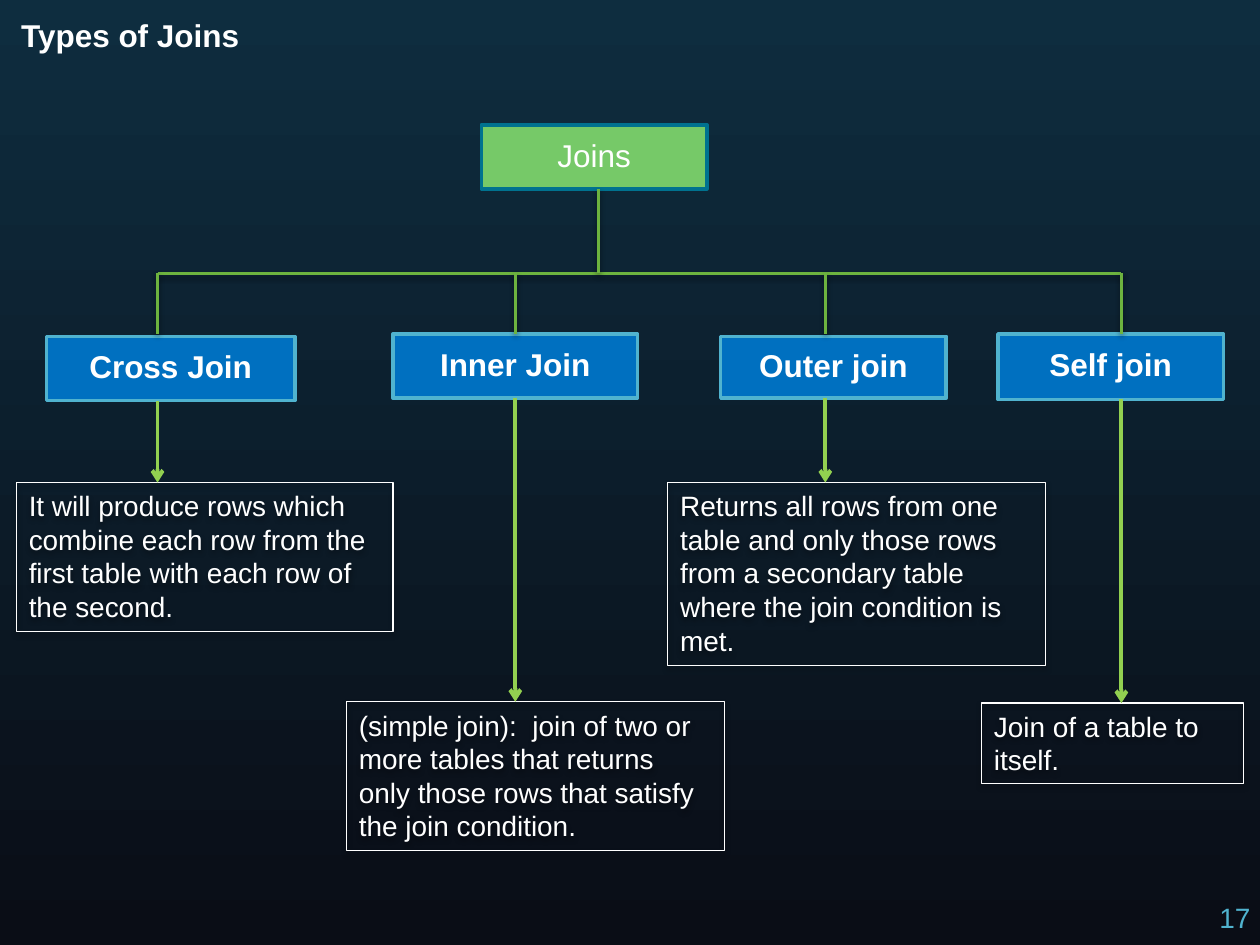
from pptx import Presentation
from pptx.dml.color import RGBColor
from pptx.enum.shapes import MSO_CONNECTOR, MSO_SHAPE
from pptx.enum.text import MSO_ANCHOR as ANCHOR, MSO_AUTO_SIZE as AUTO, PP_ALIGN as ALIGN
from pptx.oxml import parse_xml
from pptx.oxml.ns import nsdecls
from pptx.util import Inches, Pt

WHITE = RGBColor(0xFF, 0xFF, 0xFF)
BG_TOP = RGBColor(0x0E, 0x2D, 0x3F)
BG_BOTTOM = RGBColor(0x0A, 0x0D, 0x16)
ROOT_FILL = RGBColor(0x76, 0xC9, 0x68)
ROOT_LINE = RGBColor(0x00, 0x72, 0x8F)
BLUE = RGBColor(0x00, 0x70, 0xC0)
CYAN = RGBColor(0x50, 0xB3, 0xCF)
BRANCH = RGBColor(0x6D, 0xB3, 0x3F)
ARROW = RGBColor(0x92, 0xD0, 0x50)

SPINE_Y = 2.17
DROP_END = 2.65
ROOT_X = 4.75

JOINS = [
    ("Cross Join", 1.25, (0.37, 2.67, 1.97, 0.51), (0.13, 3.83, 2.99, 1.18),
     "It will produce rows which combine each row from the first table "
     "with each row of the second."),
    ("Inner Join", 4.09, (3.12, 2.65, 1.94, 0.51), (2.75, 5.57, 3, 1.18),
     "(simple join):  join of two or more tables that returns only those "
     "rows that satisfy the join condition."),
    ("Outer join", 6.55, (5.72, 2.67, 1.79, 0.49), (5.3, 3.83, 3, 1.45),
     "Returns all rows from one table and only those rows from a secondary "
     "table where the join condition is met."),
    ("Self join", 8.9, (7.92, 2.65, 1.79, 0.52), (7.79, 5.58, 2.08, 0.64),
     "Join of a table to itself."),
]


def set_effects(s, shadow):
    outer = ('<a:outerShdw blurRad="40000" dist="20000" dir="5400000" rotWithShape="0">'
             '<a:srgbClr val="000000"><a:alpha val="38000"/></a:srgbClr></a:outerShdw>')
    s._element.spPr.append(parse_xml(
        f'<a:effectLst {nsdecls("a")}>{outer if shadow else ""}</a:effectLst>'))


def write(s, text, size=18, color=WHITE, bold=False, align=ALIGN.LEFT,
          anchor=ANCHOR.TOP, inset=None, spacing=None, grow=False):
    tf = s.text_frame
    tf.word_wrap = True
    tf.vertical_anchor = anchor
    tf.auto_size = AUTO.SHAPE_TO_FIT_TEXT if grow else AUTO.NONE
    if inset is not None:
        tf.margin_left = tf.margin_right = Inches(inset)
        tf.margin_top = tf.margin_bottom = Inches(inset)
    p = tf.paragraphs[0]
    p.alignment = align
    if spacing:
        p.line_spacing = spacing
    r = p.add_run()
    r.text = text
    r.font.name = "Arial"
    r.font.size = Pt(size)
    r.font.bold = bold
    r.font.color.rgb = color


def add_label(slide, text, at, **fmt):
    write(slide.shapes.add_textbox(*map(Inches, at)), text, **fmt)


def add_rect(slide, at, line, width, fill=None, shadow=False):
    s = slide.shapes.add_shape(MSO_SHAPE.RECTANGLE, *map(Inches, at))
    if fill is None:
        s.fill.background()
    else:
        s.fill.solid()
        s.fill.fore_color.rgb = fill
    s.line.color.rgb = line
    s.line.width = Pt(width)
    set_effects(s, shadow)
    return s


def add_node(slide, text, at, fill, line, bold=False):
    s = add_rect(slide, at, line, 2, fill)
    write(s, text, bold=bold, align=ALIGN.CENTER, anchor=ANCHOR.MIDDLE,
          inset=0.01, spacing=0.9)
    return s


def add_note(slide, text, at):
    write(add_rect(slide, at, WHITE, 0.75, shadow=True), text, size=16, grow=True)


def add_line(slide, x1, y1, x2, y2, color=BRANCH, width=2, arrow=False):
    c = slide.shapes.add_connector(
        MSO_CONNECTOR.STRAIGHT, *map(Inches, (x1, y1, x2, y2)))
    c.line.color.rgb = color
    c.line.width = Pt(width)
    if arrow:
        c.line._get_or_add_ln().append(
            parse_xml(f'<a:tailEnd {nsdecls("a")} type="arrow"/>'))
    set_effects(c, shadow=not arrow)
    return c


def add_join(slide, name, x, node_at, note_at, note):
    left, top, width, height = node_at
    node = add_node(slide, name, node_at, BLUE, CYAN, bold=True)
    add_note(slide, note, note_at)
    drop = add_line(slide, x, SPINE_Y, x, DROP_END)
    arrow = add_line(slide, x, top + height, x, note_at[1], ARROW, 2.25, arrow=True)
    if abs(left + width / 2 - x) < 0.01:
        drop.end_connect(node, 0)
        arrow.begin_connect(node, 2)


def set_background(slide):
    fill = slide.background.fill
    fill.gradient()
    fill.gradient_angle = 270
    for stop, color in zip(fill.gradient_stops, (BG_TOP, BG_BOTTOM)):
        stop.color.rgb = color


def main():
    prs = Presentation()
    prs.slide_width, prs.slide_height = Inches(10), Inches(7.5)
    slide = prs.slides.add_slide(prs.slide_layouts[6])
    set_background(slide)
    add_label(slide, "17", (9.58, 7.1, 0.81, 0.25), size=16, color=CYAN)
    add_label(slide, "Types of Joins", (0.07, 0.08, 7.5, 0.58), bold=True)
    add_node(slide, "Joins", (3.82, 0.99, 1.79, 0.51), ROOT_FILL, ROOT_LINE)
    add_line(slide, JOINS[0][1], SPINE_Y, JOINS[-1][1], SPINE_Y)
    add_line(slide, ROOT_X, SPINE_Y, ROOT_X, 1.5)
    for join in JOINS:
        add_join(slide, *join)
    prs.save("out.pptx")


if __name__ == "__main__":
    main()
